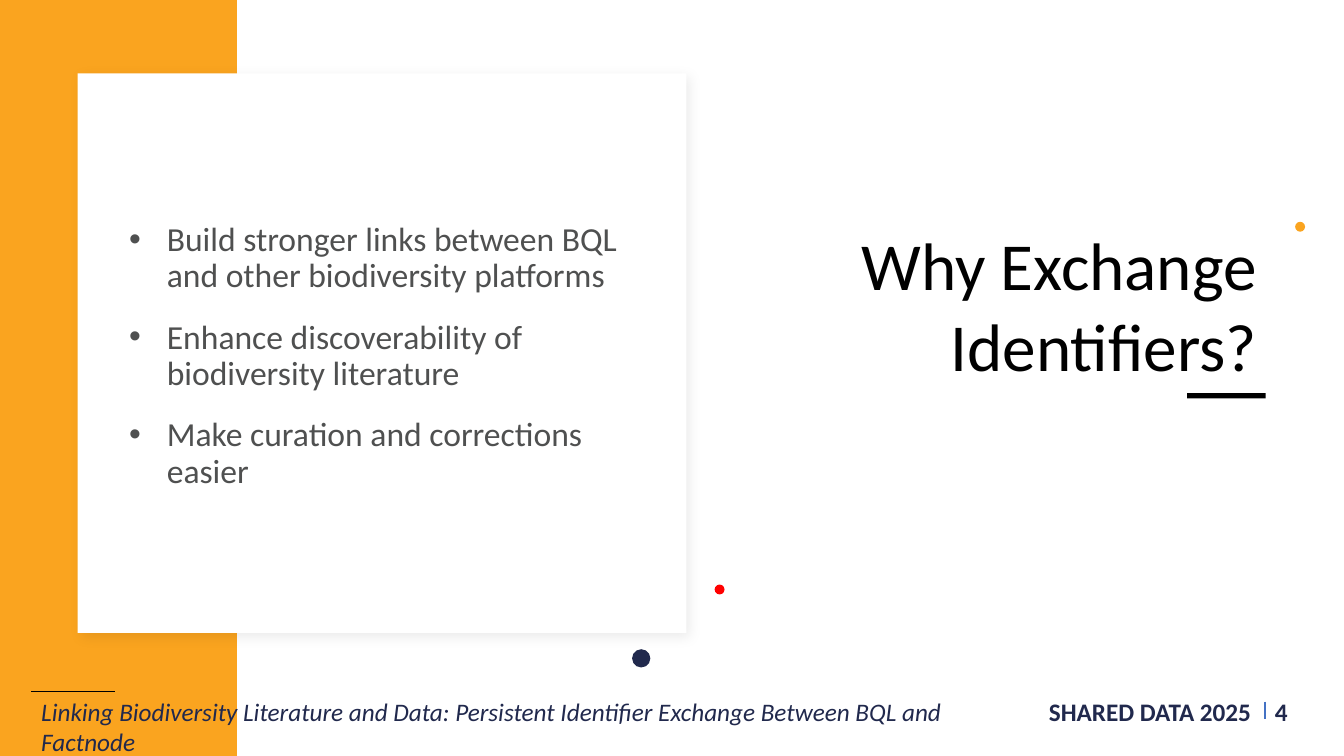
from dataclasses import dataclass

from lxml.etree import SubElement
from pptx import Presentation
from pptx.dml.color import RGBColor
from pptx.enum.shapes import MSO_CONNECTOR as Connector, MSO_SHAPE as Shape
from pptx.enum.text import MSO_ANCHOR as Anchor, MSO_AUTO_SIZE as AutoSize, PP_ALIGN as Align
from pptx.oxml.ns import qn
from pptx.util import Cm, Pt


@dataclass(frozen=True)
class Theme:
    font: str = "Calibri"
    orange: str = "FAA41F"
    navy: str = "21294D"
    grey: str = "4F5050"
    blue: str = "4472C4"
    red: str = "FF0000"
    black: str = "000000"
    white: str = "FFFFFF"
    title_size: int = 48
    body_size: int = 24
    footer_size: int = 18


class PageBuilder:
    def __init__(self, page, theme):
        self.page = page
        self.theme = theme

    def format_runs(self, para, size, color, bold=False, italic=False):
        for span in para.runs:
            font = span.font
            font.name, font.size = self.theme.font, Pt(size)
            font.bold, font.italic = bold, italic
            font.color.rgb = RGBColor.from_string(color)

    def place(self, holder, left, top, width, height):
        """Position a placeholder and bring it to the front."""
        holder.left, holder.top = Cm(left), Cm(top)
        holder.width, holder.height = Cm(width), Cm(height)
        holder.element.getparent().append(holder.element)

    def shape(self, kind, left, top, width, height, color):
        shape = self.page.shapes.add_shape(kind, Cm(left), Cm(top), Cm(width), Cm(height))
        shape.shadow.inherit = False
        shape.fill.solid()
        shape.fill.fore_color.rgb = RGBColor.from_string(color)
        shape.line.fill.background()
        return shape

    def dot(self, left, top, size, color):
        return self.shape(Shape.OVAL, left, top, size, size, color)

    def card(self, left, top, width, height):
        card = self.shape(Shape.RECTANGLE, left, top, width, height, self.theme.white)
        effects = card.element.spPr.find(qn("a:effectLst"))
        shadow = SubElement(effects, qn("a:outerShdw"), blurRad=str(Pt(9)), dist=str(Pt(4)),
                            dir=str(45 * 60000), algn="tl", rotWithShape="0")
        tint = SubElement(shadow, qn("a:srgbClr"), val=self.theme.black)
        SubElement(tint, qn("a:alpha"), val="7000")

    def line(self, x1, y1, x2, y2, color):
        line = self.page.shapes.add_connector(Connector.STRAIGHT, Cm(x1), Cm(y1), Cm(x2), Cm(y2))
        line.line.color.rgb = RGBColor.from_string(color)
        line.line.width = Pt(1)
        SubElement(line.element.spPr, qn("a:effectLst"))

    def footer(self, text, left, width, align=Align.LEFT, bold=False, italic=False):
        box = self.page.shapes.add_textbox(Cm(left), Cm(17.42), Cm(width), Cm(1.02))
        frame = box.text_frame
        frame.word_wrap = True
        frame.auto_size = AutoSize.SHAPE_TO_FIT_TEXT
        frame.text = text
        para = frame.paragraphs[0]
        para.alignment = align
        self.format_runs(para, self.theme.footer_size, self.theme.navy, bold, italic)

    def title(self, text, left, top, width, height):
        title = self.page.shapes.title
        self.place(title, left, top, width, height)
        frame = title.text_frame
        frame.text = text
        frame.word_wrap = True
        frame.auto_size = AutoSize.SHAPE_TO_FIT_TEXT
        frame.vertical_anchor = Anchor.TOP
        para = frame.paragraphs[0]
        para.alignment = Align.RIGHT
        self.format_runs(para, self.theme.title_size, self.theme.black)

    def bullets(self, items, left, top, width, height):
        body = self.page.placeholders[1]
        self.place(body, left, top, width, height)
        frame = body.text_frame
        frame.text = "\n".join(items)
        frame.word_wrap = True
        frame.auto_size = AutoSize.NONE
        frame.vertical_anchor = Anchor.MIDDLE
        for index, para in enumerate(frame.paragraphs):
            para.alignment = Align.LEFT
            para.line_spacing = 0.9
            para.space_before = Pt(18 if index else 0)
            para.space_after = Pt(0)
            self.format_runs(para, self.theme.body_size, self.theme.grey)
            # Hanging bullet
            props = para._p.get_or_add_pPr()
            props.set("marL", str(Cm(0.95)))
            props.set("indent", str(-Cm(0.95)))
            SubElement(props, qn("a:buFont"), typeface="Arial")
            SubElement(props, qn("a:buChar"), char="•")


def main():
    deck = Presentation()
    deck.slide_width, deck.slide_height = Cm(33.87), Cm(19.05)
    theme = Theme()
    builder = PageBuilder(deck.slides.add_slide(deck.slide_layouts[1]), theme)

    # Page number and event name
    builder.footer("4", 31.88, 1.73, bold=True)
    builder.line(31.88, 17.68, 31.88, 18.11, theme.blue)
    builder.footer("SHARED DATA 2025", 25.86, 5.92, Align.RIGHT, bold=True)

    # Side band, dots and talk name
    builder.shape(Shape.RECTANGLE, 0, 0, 5.97, 19.05, theme.orange)
    builder.line(0.79, 17.42, 2.9, 17.42, theme.black)
    builder.dot(15.93, 16.36, 0.46, theme.navy)
    builder.dot(32.64, 5.59, 0.25, theme.orange)
    builder.footer("Linking Biodiversity Literature and Data: Persistent Identifier "
                   "Exchange Between BQL and Factnode", 0.79, 25.32, italic=True)

    # Card with the reasons
    builder.card(1.96, 1.85, 15.34, 14.1)
    builder.bullets(["Build stronger links between BQL and other biodiversity platforms",
                     "Enhance discoverability of biodiversity literature",
                     "Make curation and corrections easier"], 3, 2.59, 13.06, 12.78)
    builder.dot(18.01, 14.73, 0.25, theme.red)

    # Title and its accent bar
    builder.title("Why Exchange Identifiers?", 19.51, 5.51, 12.42, 4.37)
    builder.shape(Shape.RECTANGLE, 29.92, 9.91, 1.98, 0.13, theme.black)

    deck.save("out.pptx")


if __name__ == "__main__":
    main()
